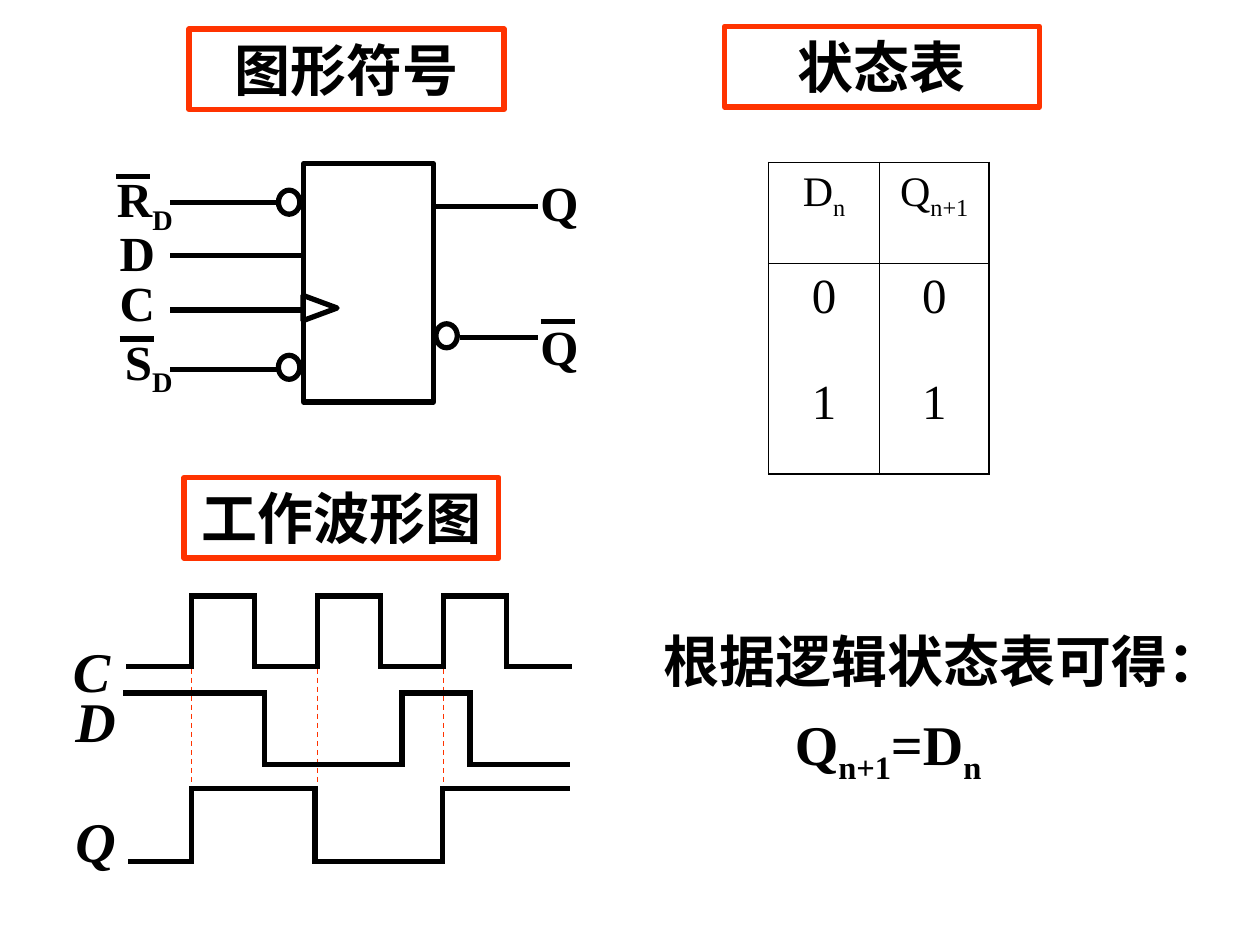
from itertools import pairwise

from lxml.etree import SubElement
from pptx import Presentation
from pptx.dml.color import RGBColor
from pptx.enum.dml import MSO_LINE
from pptx.enum.shapes import MSO_CONNECTOR, MSO_SHAPE
from pptx.enum.text import MSO_ANCHOR, MSO_AUTO_SIZE, PP_ALIGN
from pptx.oxml.ns import qn
from pptx.util import Inches, Pt

BLACK = RGBColor(0x00, 0x00, 0x00)
RED = RGBColor(0xFF, 0x33, 0x00)
FONT = "Times New Roman"

# Rich text is a list of pieces; a piece starting with "_" is a subscript.
HEADINGS = [("图形符号", 1.5, 0.23), ("状态表", 5.75, 0.21), ("工作波形图", 1.46, 3.79)]
CONCLUSION = [
    (["根据逻辑状态表可得："], (5.17, 4.92, 4.25, 0.64)),
    (["Q", "_n+1", "=D", "_n"], (6.21, 5.58, 2.17, 0.71)),
]

BODY = (2.41, 1.3, 1.03, 1.89)
CLOCK_WEDGE = (2.44, 2.31, 0.2, 0.27)
BUBBLES = [(2.21, 1.51), (2.21, 2.82), (3.46, 2.57)]
PIN_LINES = [  # y, left end, right end
    (1.61, 1.35, 2.23), (2.03, 1.35, 2.43), (2.46, 1.35, 2.43),
    (2.93, 1.35, 2.23), (1.64, 3.44, 4.27), (2.68, 3.65, 4.27),
]
NEGATION_BARS = [(1.4, 0.92, 1.19), (2.69, 0.95, 1.22), (2.55, 4.29, 4.56)]
PIN_LABELS = [  # pieces, box, centred
    (["R", "_D"], (0.83, 1.29, 0.64, 0.63), True),
    (["D"], (0.85, 1.72, 0.72, 0.57), False),
    (["C"], (0.85, 2.11, 0.72, 0.57), False),
    (["S", "_D"], (0.89, 2.58, 0.58, 0.63), True),
    (["Q"], (4.19, 1.32, 0.72, 0.57), False),
    (["Q"], (4.19, 2.46, 0.5, 0.57), True),
]

STATE_ROWS = [[["D", "_n"], ["Q", "_n+1"]], [["0"], ["0"]], [["1"], ["1"]]]
STATE_BOX = (6.1, 1.29, 1.75, 2.47)
COLUMN_WIDTHS = [0.88, 0.87]
ROW_HEIGHTS = [0.8, 0.84, 0.83]
OUTER, INNER = 1.08, 0.45

CLOCK_EDGES = [1.52 + step / 2 for step in range(6)]
WAVES = [
    dict(name="C", label=(0.48, 5.0), start=1.02, end=4.52,
         levels=(5.29, 4.73), edges=CLOCK_EDGES),
    dict(name="D", label=(0.5, 5.4), start=1.0, end=4.5,
         levels=(5.5, 6.07), edges=[2.1, 3.19, 3.73]),
    dict(name="Q", label=(0.5, 6.35), start=1.04, end=4.5,
         levels=(6.84, 6.26), edges=[1.52, 2.5, 3.51]),
]
GUIDE_TOP, GUIDE_BOTTOM = 5.02, 6.27

prs = Presentation()
prs.slide_width, prs.slide_height = Inches(10), Inches(7.5)
slide = prs.slides.add_slide(prs.slide_layouts[6])
shapes = slide.shapes


def inches(values):
    return [Inches(value) for value in values]


def write(frame, pieces, size, align=PP_ALIGN.LEFT, **style):
    paragraph = frame.paragraphs[0]
    paragraph.alignment = align
    for piece in pieces:
        run = paragraph.add_run()
        run.text = piece.removeprefix("_")
        font = run.font
        font.color.rgb = BLACK
        for key, value in dict(name=FONT, size=Pt(size), **style).items():
            setattr(font, key, value)
        if piece.startswith("_"):
            font._element.set("baseline", "-25000")


def add_text(pieces, box, size, centred=False, **style):
    frame = shapes.add_textbox(*inches(box)).text_frame
    frame.word_wrap = not centred
    frame.auto_size = MSO_AUTO_SIZE.SHAPE_TO_FIT_TEXT
    if centred:
        frame.vertical_anchor = MSO_ANCHOR.MIDDLE
    align = PP_ALIGN.CENTER if centred else PP_ALIGN.LEFT
    write(frame, pieces, size, align, bold=True, **style)


def add_line(start, end, color=BLACK, width=3):
    line = shapes.add_connector(MSO_CONNECTOR.STRAIGHT, *inches(start + end))
    line.line.color.rgb = color
    line.line.width = Pt(width)
    SubElement(line._element.spPr, qn("a:effectLst"))
    return line


def add_outline(kind, box, color=BLACK):
    shape = shapes.add_shape(kind, *inches(box))
    shape.shadow.inherit = False
    shape.fill.background()
    shape.line.color.rgb = color
    shape.line.width = Pt(3)
    return shape


def set_borders(cell, widths):
    """Give a cell its left, right, top and bottom border; 0 means no line."""
    properties = cell._tc.get_or_add_tcPr()
    for index, (side, width) in enumerate(zip("LRTB", widths)):
        border = properties.makeelement(qn(f"a:ln{side}"), {"w": str(int(Pt(width)))})
        properties.insert(index, border)
        if width:
            fill = SubElement(border, qn("a:solidFill"))
            SubElement(fill, qn("a:srgbClr"), val=str(BLACK))
        else:
            SubElement(border, qn("a:noFill"))


def add_state_table():
    last_row, last_column = len(ROW_HEIGHTS) - 1, len(COLUMN_WIDTHS) - 1
    table = shapes.add_table(last_row + 1, last_column + 1, *inches(STATE_BOX)).table
    table.first_row = table.horz_banding = False
    for column, width in zip(table.columns, COLUMN_WIDTHS):
        column.width = Inches(width)
    for row, height in zip(table.rows, ROW_HEIGHTS):
        row.height = Inches(height)
    # Horizontal rules: the two value rows have none between them.
    rules = [OUTER, INNER, 0, OUTER]
    for r, row in enumerate(STATE_ROWS):
        for c, pieces in enumerate(row):
            cell = table.cell(r, c)
            cell.fill.background()
            write(cell.text_frame, pieces, 28 if r else 24, PP_ALIGN.CENTER, bold=False)
            set_borders(cell, (INNER if c else OUTER,
                               OUTER if c == last_column else INNER,
                               rules[r], rules[r + 1]))


def add_wave(wave):
    """Draw a square wave that switches level at every edge."""
    levels = wave["levels"]
    points = [(wave["start"], levels[0])]
    for index, x in enumerate(wave["edges"]):
        before, after = levels[index % 2], levels[(index + 1) % 2]
        points += [(x, before), (x, after)]
    points.append((wave["end"], points[-1][1]))
    for start, end in pairwise(points):
        add_line(start, end).line._get_or_add_ln().set("cap", "sq")
    add_text([wave["name"]], wave["label"] + (0.67, 0.64), 32, italic=True)


for x in CLOCK_EDGES[::2]:
    guide = add_line((x, GUIDE_TOP), (x, GUIDE_BOTTOM), RED, 0.75)
    guide.line.dash_style = MSO_LINE.DASH

add_outline(MSO_SHAPE.RECTANGLE, BODY)
add_outline(MSO_SHAPE.ISOSCELES_TRIANGLE, CLOCK_WEDGE).rotation = 90
for corner in BUBBLES:
    add_outline(MSO_SHAPE.OVAL, corner + (0.17, 0.19))
for y, left, right in PIN_LINES + NEGATION_BARS:
    add_line((left, y), (right, y))
for pieces, box, centred in PIN_LABELS:
    add_text(pieces, box, 28, centred)

add_state_table()
for wave in WAVES:
    add_wave(wave)
for pieces, box in CONCLUSION:
    add_text(pieces, box, 32)

for heading, left, top in HEADINGS:
    frame = add_outline(MSO_SHAPE.RECTANGLE, (left, top, 2.5, 0.64), RED).text_frame
    frame.word_wrap = True
    frame.auto_size = MSO_AUTO_SIZE.SHAPE_TO_FIT_TEXT
    frame.vertical_anchor = MSO_ANCHOR.TOP
    write(frame, [heading], 32, PP_ALIGN.CENTER, bold=True)

prs.save("out.pptx")
